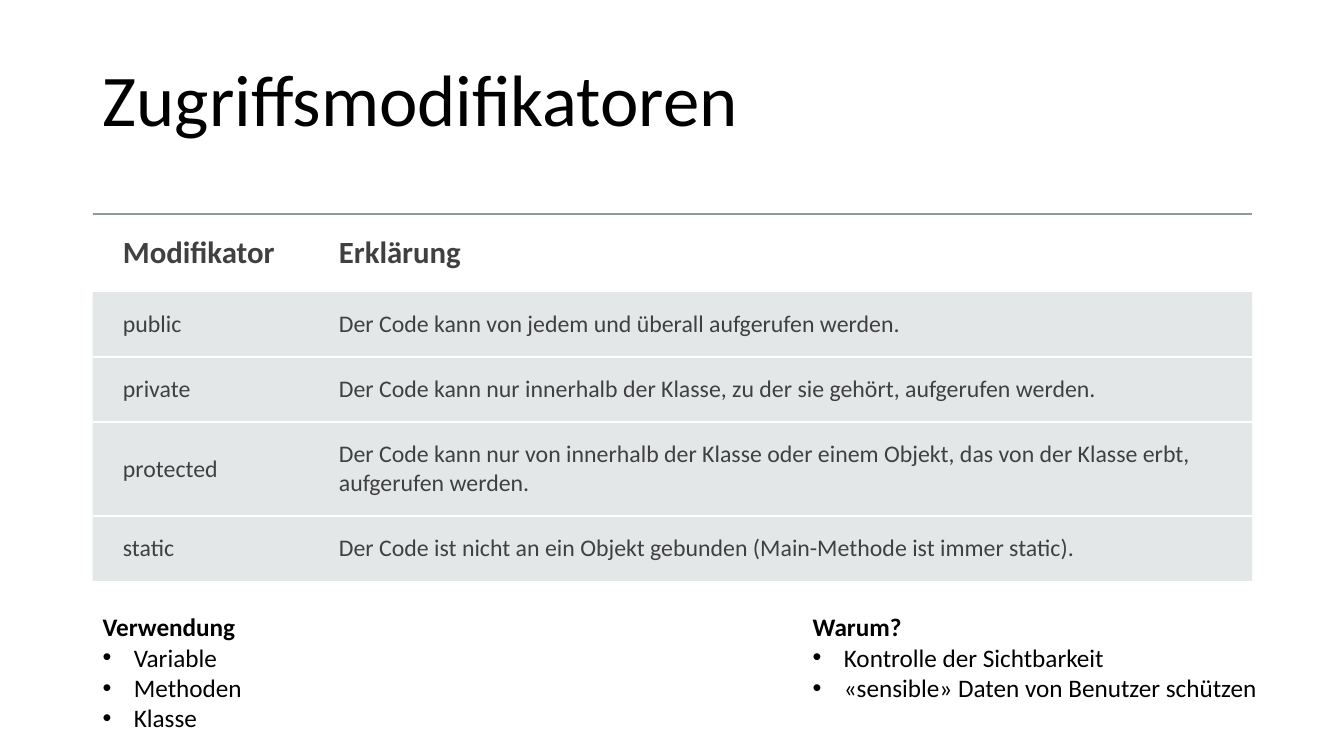
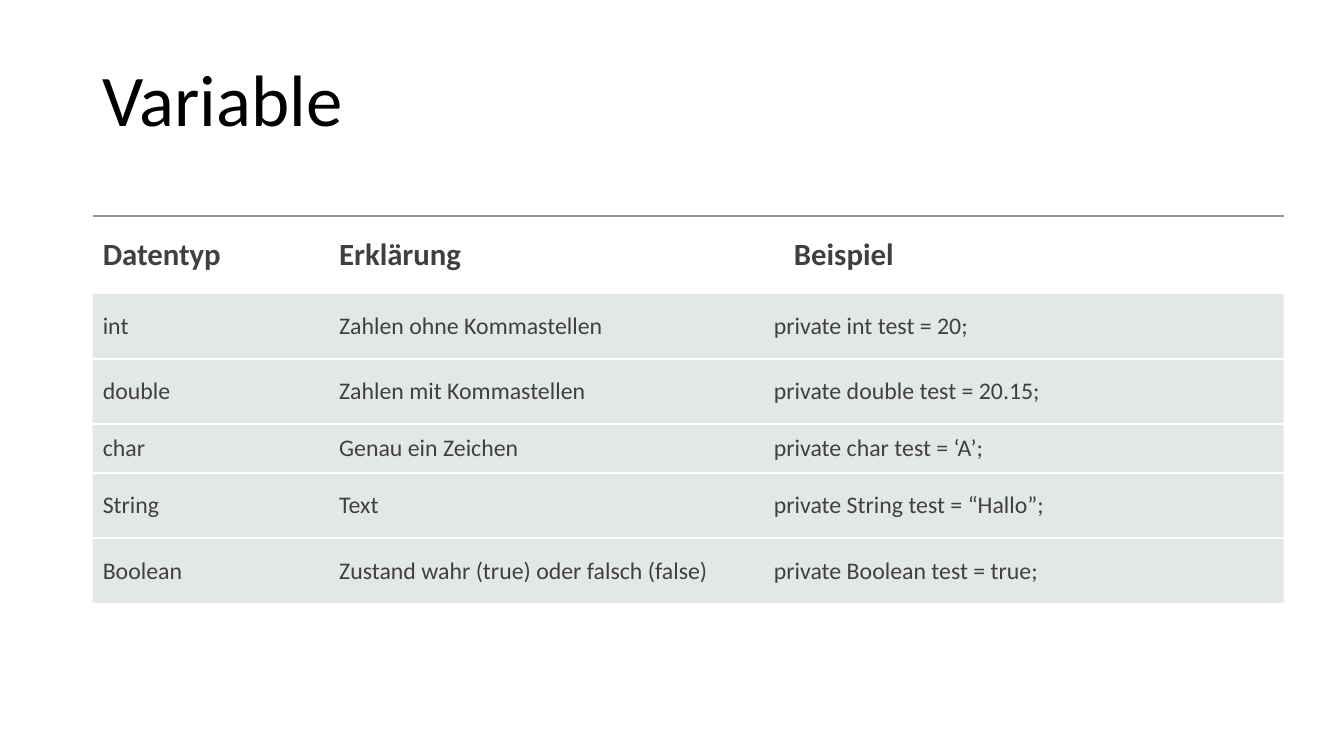
from itertools import product
from lxml.etree import SubElement
from pptx import Presentation
from pptx.dml.color import RGBColor as Rgb
from pptx.enum.text import MSO_ANCHOR as Anchor, MSO_AUTO_SIZE as Fit
from pptx.oxml.ns import qn
from pptx.util import Inches, Pt

INK = {"black": "000000", "text": "404040", "rule": "8F9A9D", "band": "B4BCBE", "white": "FFFFFF"}
FONT = "Calibri"

deck = Presentation()
deck.slide_width, deck.slide_height = Inches(13.33), Inches(7.5)
COL, ROW = deck.slide_width / 145, deck.slide_height / 75
LEFT = 10


def write(frame, *lines, size=18, ink="black", bold=False, space=1.0, bullet=False, anchor=Anchor.TOP):
    frame.word_wrap = True
    frame.vertical_anchor = anchor
    for i, line in enumerate(lines):
        para = frame.paragraphs[0] if i == 0 else frame.add_paragraph()
        para.line_spacing = space
        run = para.add_run()
        run.text = line
        font = run.font
        font.name, font.size = FONT, Pt(size)
        font.bold = bold or (bullet and i == 0)
        font.color.rgb = Rgb.from_string(INK[ink])
        if bullet and i > 0:
            props = para._p.get_or_add_pPr()
            props.set("marL", str(Inches(0.31)))
            props.set("indent", str(-Inches(0.31)))
            SubElement(props, qn("a:buFont"), typeface="Arial")
            SubElement(props, qn("a:buChar"), char="•")


def edge(cell, side, ink=None, alpha=100):
    line = SubElement(cell._tc.get_or_add_tcPr(), qn("a:" + side), w=str(Pt(1.5) if ink else 0))
    if ink:
        fill = SubElement(line, qn("a:solidFill"))
        tint = SubElement(fill, qn("a:srgbClr"), val=INK[ink])
        SubElement(tint, qn("a:alpha"), val=str(alpha * 1000))
    else:
        SubElement(line, qn("a:noFill"))


PAGES = [
    {
        "title": "Zugriffsmodifikatoren",
        "top": 21.2,
        "cols": [23.3, 101.8],
        "rows": [7.7, 6.5, 6.5, 9.3, 6.5],
        "roomy": list(product(range(5), range(2))),
        "cells": [
            ["Modifikator", "Erklärung"],
            ["public", "Der Code kann von jedem und überall aufgerufen werden."],
            ["private", "Der Code kann nur innerhalb der Klasse, zu der sie gehört, aufgerufen werden."],
            ["protected", "Der Code kann nur von innerhalb der Klasse oder einem Objekt, "
                          "das von der Klasse erbt, aufgerufen werden."],
            ["static", "Der Code ist nicht an ein Objekt gebunden (Main-Methode ist immer static)."],
        ],
        "notes": [
            (LEFT, 25.6, 13.1, ["Verwendung", "Variable", "Methoden", "Klasse"]),
            (86.6, 54.5, 10.1, ["Warum?", "Kontrolle der Sichtbarkeit",
                                "«sensible» Daten von Benutzer schützen"]),
        ],
    },
    {
        "title": "Variable",
        "top": 21.4,
        "cols": [25.5, 46.9, 56.1],
        "rows": [7.7, 6.5, 6.5, 4.8, 6.5, 6.5],
        "roomy": [(0, 2)],
        "cells": [
            ["Datentyp", "Erklärung", "Beispiel"],
            ["int", "Zahlen ohne Kommastellen", "private int test = 20;"],
            ["double", "Zahlen mit Kommastellen", "private double test = 20.15;"],
            ["char", "Genau ein Zeichen", "private char test = ‘A’;"],
            ["String", "Text", "private String test = “Hallo”;"],
            ["Boolean", "Zustand wahr (true) oder falsch (false)", "private Boolean test = true;"],
        ],
        "notes": [],
    },
]

for page in PAGES:
    slide = deck.slides.add_slide(deck.slide_layouts[6])
    shapes = slide.shapes

    title = shapes.add_textbox(int(LEFT * COL), int(2 * ROW), int(125 * COL), int(16.5 * ROW))
    write(title.text_frame, page["title"], size=52, space=0.9, anchor=Anchor.MIDDLE)

    cols, rows = page["cols"], page["rows"]
    table = shapes.add_table(len(rows), len(cols), int(LEFT * COL), int(page["top"] * ROW),
                             int(sum(cols) * COL), int(sum(rows) * ROW)).table
    table.first_row = table.horz_banding = False
    for part, wide in zip(table.columns, cols):
        part.width = int(wide * COL)
    for part, high in zip(table.rows, rows):
        part.height = int(high * ROW)

    for r, c in product(range(len(rows)), range(len(cols))):
        cell = table.cell(r, c)
        head = r == 0
        if (r, c) in page["roomy"]:
            pad = Inches(0.18 if head else 0.16)
            cell.margin_left = Inches(0.3)
            cell.margin_top = cell.margin_right = cell.margin_bottom = pad
        write(cell.text_frame, page["cells"][r][c], size=22 if head else 17, ink="text", bold=head)
        cell.vertical_anchor = Anchor.MIDDLE
        edge(cell, "lnL")
        edge(cell, "lnR")
        edge(cell, "lnT", "rule" if head else "white", 60 if head else 100)
        edge(cell, "lnB", "white")
        if head:
            cell.fill.background()
        else:
            cell.fill.solid()
            cell.fill.fore_color.rgb = Rgb.from_string(INK["band"])
            tint = cell._tc.tcPr.find(qn("a:solidFill")).find(qn("a:srgbClr"))
            SubElement(tint, qn("a:alpha"), val="35000")

    for left, wide, high, lines in page["notes"]:
        note = shapes.add_textbox(int(left * COL), int(60.2 * ROW), int(wide * COL), int(high * ROW))
        write(note.text_frame, *lines, bullet=True)
        note.text_frame.auto_size = Fit.SHAPE_TO_FIT_TEXT

deck.save("out.pptx")
